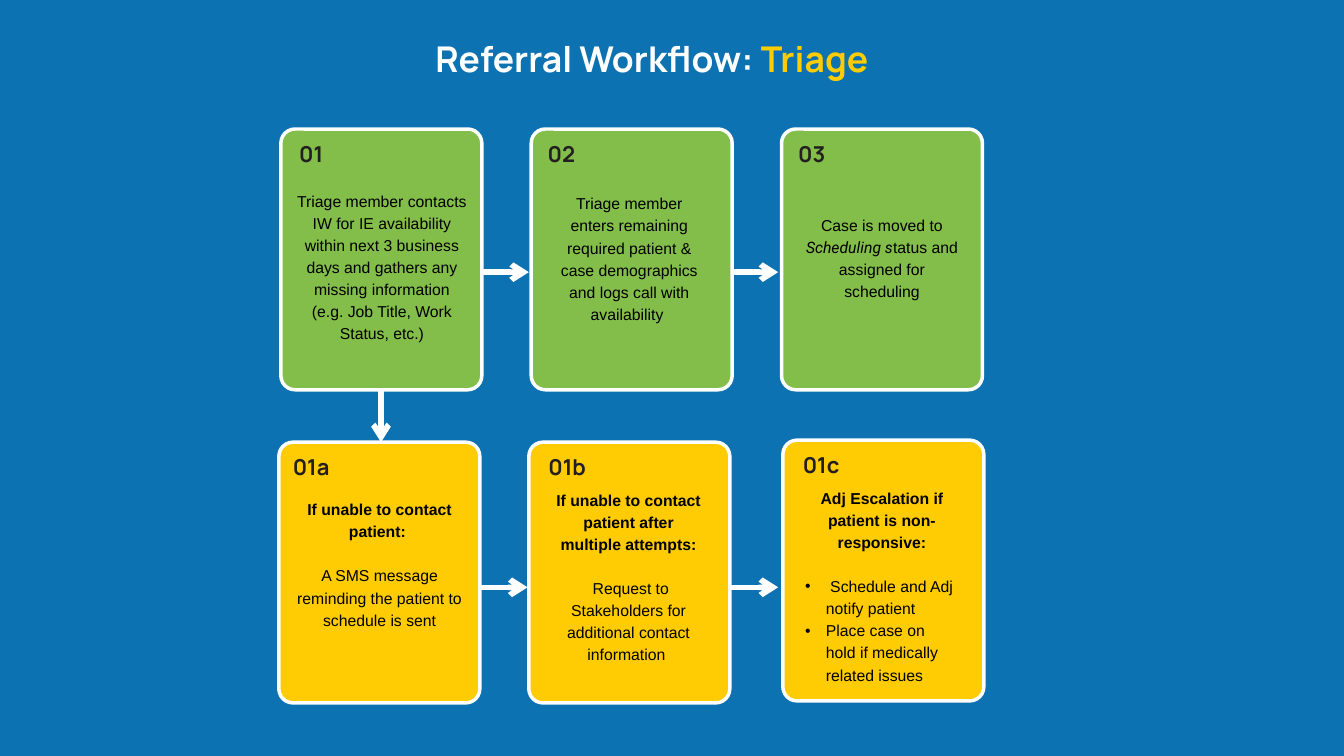
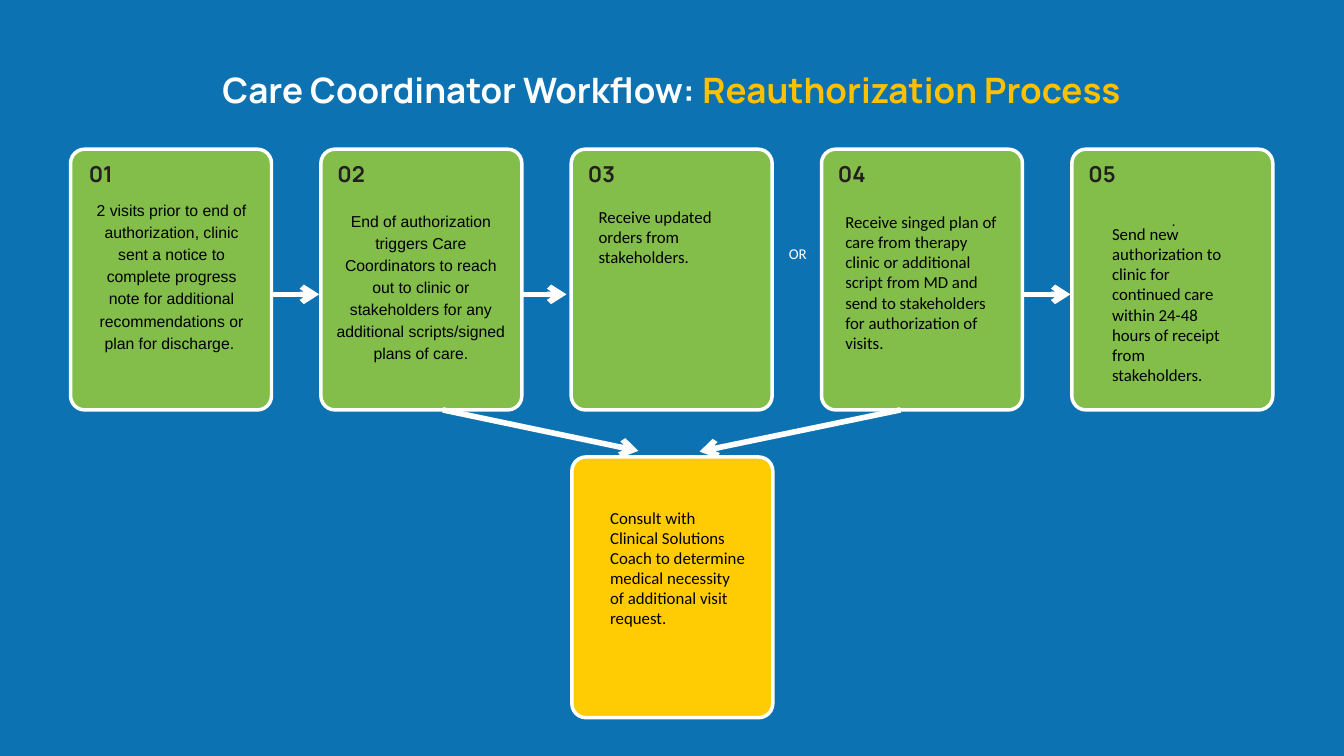
from dataclasses import dataclass, replace

from lxml.etree import SubElement
from pptx import Presentation
from pptx.dml.color import RGBColor
from pptx.enum.shapes import MSO_CONNECTOR, MSO_SHAPE
from pptx.enum.text import MSO_ANCHOR, MSO_AUTO_SIZE, PP_ALIGN
from pptx.oxml.ns import qn
from pptx.util import Inches, Pt


@dataclass(frozen=True)
class TextStyle:
    font: str
    size: float
    color: str
    bold: bool = False
    italic: bool = False
    leading: float | None = None
    align: PP_ALIGN = PP_ALIGN.CENTER
    inset: tuple = (0, 0)
    space_before: float = 0
    bullet: bool = False


@dataclass(frozen=True)
class Theme:
    background: str = "0D72B1"
    step: str = "83BD4A"
    follow_up: str = "FFCB02"
    topic: str = "FFC000"
    white: str = "FFFFFF"
    border_width: float = 3.75
    arrow_width: float = 6
    title: TextStyle = TextStyle("Manrope", 38, "FFFFFF", bold=True, leading=53.2)
    label: TextStyle = TextStyle("Manrope", 23.5, "231F20", bold=True, leading=32.9)
    body: TextStyle = TextStyle("Arial", 16.9, "000000", leading=23.7)
    note: TextStyle = TextStyle("Calibri", 18, "000000", align=PP_ALIGN.LEFT,
                                inset=(0.1, 0.05))


THEME = Theme()
BODY, NOTE = THEME.body, THEME.note
HEADING = replace(BODY, bold=True)
AFTER_GAP = replace(BODY, space_before=BODY.leading)
BULLET = replace(BODY, align=PP_ALIGN.LEFT, bullet=True)
FIRST_BULLET = replace(BULLET, space_before=BODY.leading)

CARD_WIDTH, CARD_HEIGHT, CARD_PITCH = 2.99, 3.88, 3.725
CARD_ROUNDING = 0.07
BULLET_INDENT = 0.31


class Deck:
    """Holds the theme and the slide being drawn."""

    def __init__(self, theme):
        self.theme = theme
        self.presentation = Presentation()
        self.presentation.slide_width = Inches(20)
        self.presentation.slide_height = Inches(11.25)
        fill = self.presentation.slide_master.background.fill
        fill.solid()
        fill.fore_color.rgb = RGBColor.from_string(theme.background)
        self.slide = None

    def new_slide(self, box, heading, topic, size, topic_color):
        layout = self.presentation.slide_layouts.get_by_name("Title Only")
        self.slide = self.presentation.slides.add_slide(layout)
        title = self.slide.shapes.title
        title.left, title.top, title.width, title.height = map(Inches, box)
        style = replace(self.theme.title, size=size)
        self.fill_text(title, [[(heading, style),
                                (topic, replace(style, color=topic_color))]])

    def fill_text(self, shape, paragraphs):
        """Fill a shape with paragraphs, each a list of (text, style) runs."""
        text_frame = shape.text_frame
        text_frame.word_wrap = True
        text_frame.auto_size = MSO_AUTO_SIZE.NONE
        text_frame.vertical_anchor = MSO_ANCHOR.TOP
        side, end = map(Inches, paragraphs[0][0][1].inset)
        text_frame.margin_left = text_frame.margin_right = side
        text_frame.margin_top = text_frame.margin_bottom = end
        for index, runs in enumerate(paragraphs):
            paragraph = text_frame.add_paragraph() if index else text_frame.paragraphs[0]
            self.format_paragraph(paragraph, runs[0][1])
            for text, style in runs:
                run = paragraph.add_run()
                run.text = text
                run.font.name = style.font
                run.font.size = Pt(style.size)
                run.font.bold = style.bold
                run.font.italic = style.italic
                run.font.color.rgb = RGBColor.from_string(style.color)

    def format_paragraph(self, paragraph, style):
        paragraph.alignment = style.align
        paragraph.space_before = Pt(style.space_before)
        if style.leading:
            paragraph.line_spacing = Pt(style.leading)
        if style.bullet:
            properties = paragraph._p.get_or_add_pPr()
            properties.set("marL", str(Inches(BULLET_INDENT)))
            properties.set("indent", str(-Inches(BULLET_INDENT)))
            SubElement(properties, qn("a:buFont"), typeface="Arial")
            SubElement(properties, qn("a:buChar"), char="•")

    def text(self, box, *paragraphs):
        """Add a text box; a single (text, style) pair is a whole paragraph."""
        shape = self.slide.shapes.add_textbox(*map(Inches, box))
        self.fill_text(shape, [[part] if isinstance(part, tuple) else part
                               for part in paragraphs])

    def card(self, left, top, fill, label=None, label_center=0.45):
        card = self.slide.shapes.add_shape(
            MSO_SHAPE.ROUNDED_RECTANGLE, Inches(left), Inches(top),
            Inches(CARD_WIDTH), Inches(CARD_HEIGHT))
        card.adjustments[0] = CARD_ROUNDING
        card.shadow.inherit = False
        card.fill.solid()
        card.fill.fore_color.rgb = RGBColor.from_string(fill)
        card.line.color.rgb = RGBColor.from_string(self.theme.white)
        card.line.width = Pt(self.theme.border_width)
        if label:
            width = 0.52 if len(label) == 2 else 0.74
            self.text((left + label_center - width / 2, top + 0.1, width, 0.46),
                      (label, self.theme.label))

    def arrow(self, start, end):
        arrow = self.slide.shapes.add_connector(
            MSO_CONNECTOR.STRAIGHT, *map(Inches, (*start, *end)))
        arrow.line.color.rgb = RGBColor.from_string(self.theme.white)
        arrow.line.width = Pt(self.theme.arrow_width)
        properties = arrow.element.spPr
        SubElement(properties.find(qn("a:ln")), qn("a:tailEnd"), type="arrow")
        SubElement(properties, qn("a:effectLst"))

    def arrow_right(self, left, y):
        self.arrow((left, y), (left + 0.79, y))


def build_triage(deck):
    deck.new_slide((3.26, 0.44, 12.88, 0.71), "Referral Workflow: ", "Triage",
                   38, THEME.follow_up)

    # Arrows, behind the cards
    for left, y in ((7.08, 4.05), (10.79, 4.05), (7.06, 8.74), (10.79, 8.74)):
        deck.arrow_right(left, y)
    deck.arrow((5.67, 5.79), (5.67, 6.58))

    # Main steps
    for index in range(3):
        deck.card(4.18 + index * CARD_PITCH, 1.92, THEME.step, f"{index + 1:02}")
    deck.text((4.42, 2.81, 2.53, 2.33),
              ("Triage member contacts IW for IE availability within next 3 business "
               "days and gathers any missing information (e.g. Job Title, Work "
               "Status, etc.)", replace(BODY, leading=23.5)))
    deck.text((8.22, 2.84, 2.29, 1.99),
              ("Triage member enters remaining required patient & case demographics "
               "and logs call with availability ", BODY))
    deck.text((11.98, 3.16, 2.29, 1.32),
              [("Case is moved to ", BODY),
               ("Scheduling s", replace(BODY, font="Roboto", italic=True)),
               ("tatus and assigned for scheduling", BODY)])

    # Steps when the patient cannot be reached
    for left, top, label, center in ((4.15, 6.58, "01a", 0.48),
                                     (7.87, 6.58, "01b", 0.57),
                                     (11.65, 6.55, "01c", 0.57)):
        deck.card(left, top, THEME.follow_up, label, center)
    deck.text((4.38, 7.39, 2.54, 1.99),
              ("If unable to contact patient: ", HEADING),
              ("A SMS message reminding the patient to schedule is sent", AFTER_GAP))
    deck.text((8.21, 7.25, 2.29, 2.66),
              ("If unable to contact patient after multiple attempts:", HEADING),
              (" Request to Stakeholders for additional contact information ", AFTER_GAP))
    deck.text((11.98, 7.22, 2.29, 3.34),
              ("Adj Escalation if patient is non-responsive:", HEADING),
              (" Schedule and Adj notify patient", FIRST_BULLET),
              ("Place case on hold if medically related issues", BULLET))


def build_reauthorization(deck):
    deck.new_slide((1.05, 0.9, 17.89, 0.7), "Care Coordinator Workflow: ",
                   "Reauthorization Process", 37.5, THEME.topic)

    # Arrows between steps, behind the cards
    for left in (3.96, 7.64, 15.14):
        deck.arrow_right(left, 4.38)

    # Steps
    for index in range(5):
        deck.card(1.05 + index * CARD_PITCH, 2.22, THEME.step, f"{index + 1:02}")
    deck.text((1.41, 2.94, 2.29, 2.66),
              ("2 visits prior to end of authorization, clinic sent a notice to "
               "complete progress note for additional recommendations or plan for "
               "discharge. ", BODY))
    deck.text((5, 3.1, 2.53, 2.96),
              ("End of authorization triggers Care Coordinators to reach out to "
               "clinic or stakeholders for any additional scripts/signed plans of "
               "care.", BODY))
    deck.text((8.81, 3.02, 2.37, 1.01),
              ("Receive updated orders from stakeholders.", NOTE))
    deck.text((11.64, 3.59, 0.59, 0.37),
              ("OR", replace(NOTE, size=16, color=THEME.white)))
    deck.text((12.48, 3.1, 2.52, 2.22),
              ("Receive singed plan of care from therapy clinic or additional script "
               "from MD and send to stakeholders for authorization of visits.", NOTE))
    deck.text((16.31, 3.1, 2.31, 0.28), (".", replace(BODY, size=15.8, leading=22.1)))
    deck.text((16.45, 3.28, 1.95, 2.52),
              ("Send new authorization to clinic for continued care within 24-48 "
               "hours of receipt from stakeholders.", NOTE))

    # Consultation
    deck.card(8.51, 6.8, THEME.follow_up)
    deck.arrow((13.4, 6.1), (10.41, 6.72))
    deck.arrow((6.59, 6.1), (9.5, 6.71))
    deck.text((8.98, 7.5, 2.21, 2.22),
              ("Consult with Clinical Solutions Coach to determine medical necessity "
               "of additional visit request.", NOTE))


def main():
    deck = Deck(THEME)
    build_triage(deck)
    build_reauthorization(deck)
    deck.presentation.save("out.pptx")


if __name__ == "__main__":
    main()
